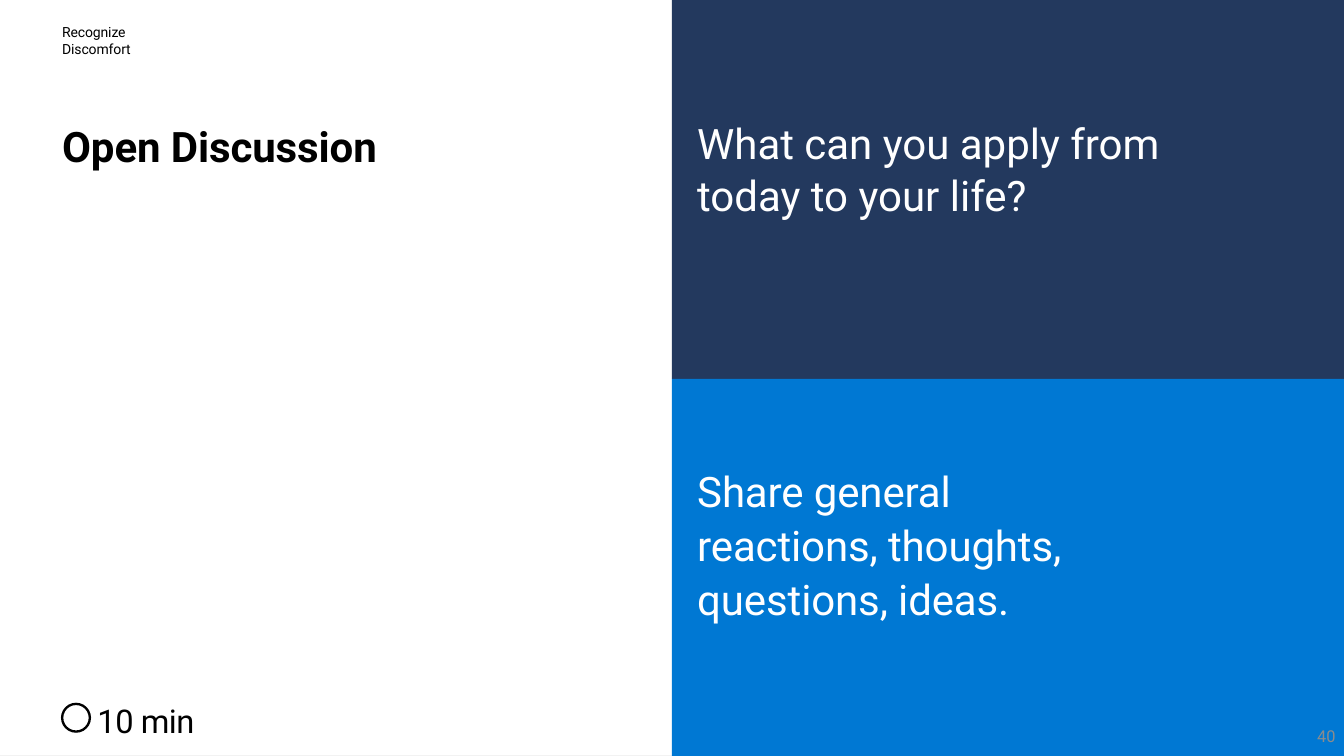
from pptx import Presentation
from pptx.dml.color import RGBColor
from pptx.enum.shapes import MSO_SHAPE
from pptx.enum.text import MSO_ANCHOR, PP_ALIGN
from pptx.util import Inches, Pt

RECTANGLE, OVAL = MSO_SHAPE.RECTANGLE, MSO_SHAPE.OVAL
TOP, MIDDLE = MSO_ANCHOR.TOP, MSO_ANCHOR.MIDDLE
LEFT, RIGHT, JUSTIFY = PP_ALIGN.LEFT, PP_ALIGN.RIGHT, PP_ALIGN.JUSTIFY

BLACK = RGBColor(0x00, 0x00, 0x00)
WHITE = RGBColor(0xFF, 0xFF, 0xFF)
PALE = RGBColor(0xF1, 0xF1, 0xF1)
NAVY = RGBColor(0x23, 0x39, 0x5E)
BLUE = RGBColor(0x00, 0x78, 0xD3)
GRAY = RGBColor(0x8C, 0x8C, 0x8C)

FONT = "Roboto"
WIDTH, HEIGHT = 16, 9
HALF = WIDTH / 2
SPLIT = 4.51
MARGIN = 0.74
PROMPT_LEFT = HALF + 0.3

PANELS = [
    ((0, 0, HALF, HEIGHT), PALE),
    ((0, 0, HALF, HEIGHT - 0.01), WHITE),
    ((HALF, 0, HALF, SPLIT), NAVY),
    ((HALF, SPLIT, HALF, HEIGHT - SPLIT), BLUE),
]
CLOCK = (MARGIN, 8.38, 0.33, 0.33)

PROMPT = {"size": 36, "color": WHITE, "line": 45}
TEXTS = [
    (["Recognize Discomfort"], (MARGIN, 0.26, 1.5, 0.42), {"size": 12}),
    (["Open Discussion"], (MARGIN, 1.42, 4.24, 0.62), {"size": 36, "bold": True}),
    (["What can you apply from today to your life?"],
     (PROMPT_LEFT, 1.35, 6.64, 1.27), {**PROMPT, "tracking": 0}),
    (["Share general", "reactions, thoughts,", "questions, ideas."],
     (PROMPT_LEFT, 5.5, 7.12, 1.92), {**PROMPT, "align": JUSTIFY}),
    (["10 min"], (MARGIN + 0.42, 8.26, 1.76, 0.51),
     {"size": 28, "inset": 0.08, "tracking": -0.4}),
    (["40"], (12.4, 8.52, 3.5, 0.48),
     {"size": 14, "color": GRAY, "align": RIGHT, "anchor": MIDDLE,
      "inset": 0, "tracking": 0}),
]


def add_shape(page, kind, place, fill=None, line=None):
    shape = page.shapes.add_shape(kind, *map(Inches, place))
    shape.shadow.inherit = False
    if fill is None:
        shape.fill.background()
    else:
        shape.fill.solid()
        shape.fill.fore_color.rgb = fill
    if line is None:
        shape.line.fill.background()
    else:
        shape.line.color.rgb = line
        shape.line.width = Pt(2)


def add_text(page, lines, place, size, color=BLACK, bold=False, align=LEFT,
             anchor=TOP, inset=0.02, line=None, tracking=-0.1):
    box = page.shapes.add_textbox(*map(Inches, place))
    frame = box.text_frame
    frame.word_wrap = True
    frame.vertical_anchor = anchor
    frame.margin_left = frame.margin_right = frame.margin_bottom = 0
    frame.margin_top = Inches(inset)
    for index, text in enumerate(lines):
        para = frame.add_paragraph() if index else frame.paragraphs[0]
        para.alignment = align
        if line:
            para.line_spacing = Pt(line)
        if index:
            para.space_before = Pt(1)
        span = para.add_run()
        span.text = text
        span.font.name = FONT
        span.font.size = Pt(size)
        span.font.bold = bold
        span.font.color.rgb = color
        span._r.get_or_add_rPr().set("spc", str(round(tracking * 100)))


def main():
    deck = Presentation()
    deck.slide_width, deck.slide_height = Inches(WIDTH), Inches(HEIGHT)
    page = deck.slides.add_slide(deck.slide_layouts[6])
    for place, fill in PANELS:
        add_shape(page, RECTANGLE, place, fill=fill)
    add_shape(page, OVAL, CLOCK, line=BLACK)
    for lines, place, style in TEXTS:
        add_text(page, lines, place, **style)
    deck.save("out.pptx")


if __name__ == "__main__":
    main()
